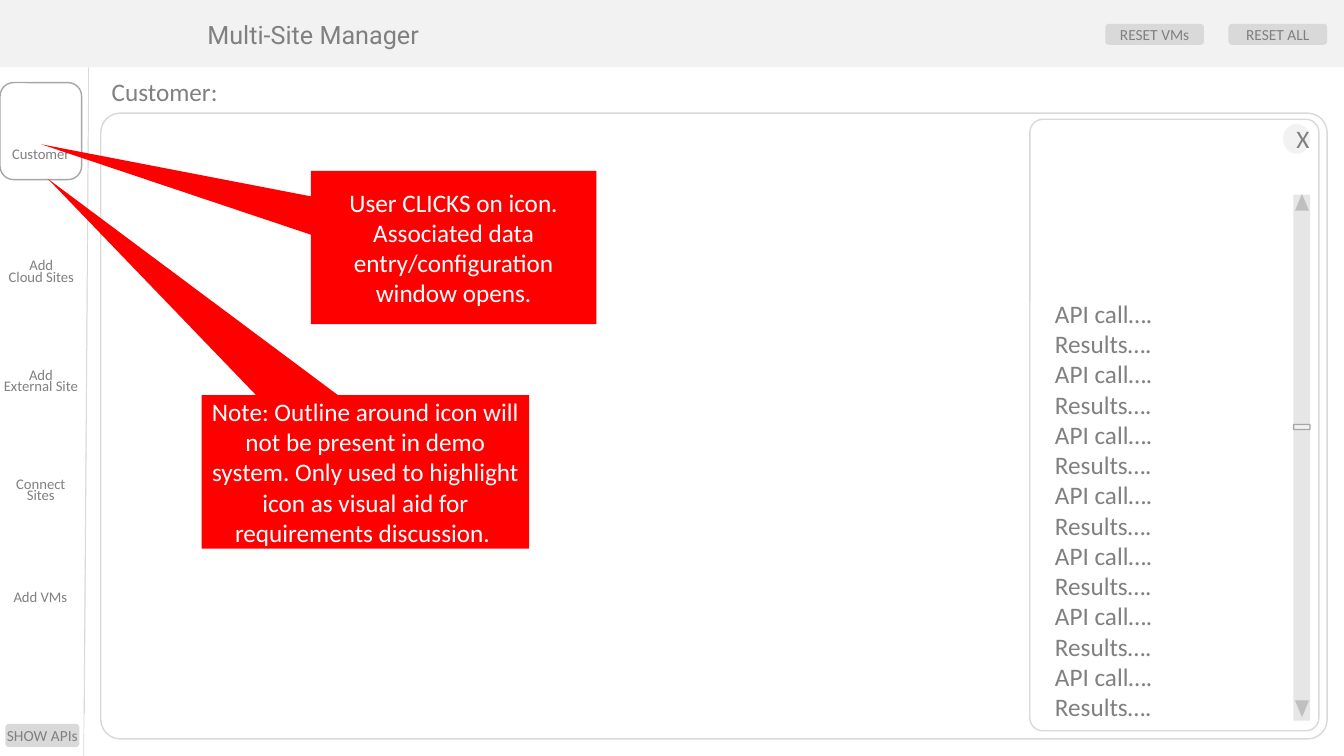
from lxml.etree import SubElement
from pptx import Presentation
from pptx.dml.color import RGBColor
from pptx.enum.shapes import MSO_CONNECTOR as CONNECTOR, MSO_SHAPE as SHAPE
from pptx.enum.text import MSO_ANCHOR as ANCHOR, MSO_AUTO_SIZE as AUTO_SIZE, PP_ALIGN as ALIGN
from pptx.oxml.ns import qn
from pptx.util import Pt

GRAY_TEXT = "808080"
BORDER = "D9D9D9"
PALE = "F2F2F2"
OUTLINE = "A6A6A6"
CENTERED = {"alignment": ALIGN.CENTER}
ICON_LABEL = {"alignment": ALIGN.CENTER, "line_spacing": Pt(8)}


def set_color(color_format, value):
    color_format.rgb = RGBColor.from_string(value)


def set_attributes(target, values):
    for name, value in values.items():
        setattr(target, name, value)


def write_text(shape, lines, size, color, font, paragraph_format, frame_format):
    frame = shape.text_frame
    set_attributes(frame, frame_format)
    for index, line in enumerate(lines):
        paragraph = frame.add_paragraph() if index else frame.paragraphs[0]
        set_attributes(paragraph, paragraph_format)
        run = paragraph.add_run()
        run.text = line
        set_attributes(run.font, {"name": font, "size": Pt(size)})
        set_color(run.font.color, color)


def add_box(slide, kind, bounds, fill=None, line=None, adjustments=()):
    shape = slide.shapes.add_shape(kind, *map(Pt, bounds))
    shape.shadow.inherit = False
    if fill:
        shape.fill.solid()
        set_color(shape.fill.fore_color, fill)
    else:
        shape.fill.background()
    if line:
        shape.line.width = Pt(1)
        set_color(shape.line.color, line)
    else:
        shape.line.fill.background()
    for index, value in enumerate(adjustments):
        shape.adjustments[index] = value
    return shape


def add_filled_text(slide, kind, bounds, fill, text, size=18, color=GRAY_TEXT,
                    adjustments=(), margins=None):
    shape = add_box(slide, kind, bounds, fill, adjustments=adjustments)
    frame_format = {"word_wrap": True, "vertical_anchor": ANCHOR.MIDDLE, **(margins or {})}
    write_text(shape, [text], size, color, "Calibri", CENTERED, frame_format)


def add_label(slide, bounds, lines, size=18, font="Calibri", paragraph_format=None, wrap=False):
    shape = slide.shapes.add_textbox(*map(Pt, bounds))
    frame_format = {"word_wrap": wrap, "auto_size": AUTO_SIZE.SHAPE_TO_FIT_TEXT}
    write_text(shape, lines, size, GRAY_TEXT, font, paragraph_format or {}, frame_format)


def add_divider(slide, start, end):
    connector = slide.shapes.add_connector(CONNECTOR.STRAIGHT, *map(Pt, start + end))
    connector.line.width = Pt(0.5)
    set_color(connector.line.color, BORDER)
    SubElement(connector.line._get_or_add_ln().getparent(), qn("a:effectLst"))


def add_header(slide):
    add_box(slide, SHAPE.RECTANGLE, (0, 0, 960, 48), PALE)
    for left, caption in ((789.5, "RESET VMs"), (877.5, "RESET ALL")):
        add_filled_text(slide, SHAPE.ROUNDED_RECTANGLE, (left, 17, 70.5, 15), BORDER, caption, 11)
    add_label(slide, (141, 10.3, 167, 29), ["Multi-Site Manager"], font="Roboto")


def add_panels(slide):
    add_box(slide, SHAPE.ROUNDED_RECTANGLE, (72, 80.8, 876, 447), "FFFFFF", BORDER, [0.031])
    add_box(slide, SHAPE.ROUNDED_RECTANGLE, (735.6, 85.2, 206.5, 436.8), "FFFFFF", BORDER, [0.045])
    add_filled_text(slide, SHAPE.OVAL, (916.5, 88.5, 19.5, 21.5), PALE, "X")
    add_label(slide, (746.5, 209.5, 155.5, 312.5), ["API call….", "Results…."] * 7, wrap=True)
    add_label(slide, (72.7, 51.3, 91, 29), ["Customer:"])


def add_sidebar(slide):
    no_side_margins = {"margin_left": 0, "margin_right": 0}
    add_filled_text(slide, SHAPE.ROUNDED_RECTANGLE, (3.8, 517, 53, 16.7), BORDER,
                    "SHOW APIs", 11, margins=no_side_margins)
    labels = (
        ((1.2, 104.4, 56, 16), ["Customer"], ICON_LABEL),
        ((-1.5, 184, 62, 24), ["Add", "Cloud Sites"], ICON_LABEL),
        ((-5, 262.3, 68.4, 24), ["Add", "External Site"], ICON_LABEL),
        ((4, 340.4, 50.4, 24), ["Connect", "Sites"], ICON_LABEL),
        ((2.6, 416.7, 53.3, 20), ["Add VMs"], {}),
    )
    for bounds, lines, paragraph_format in labels:
        add_label(slide, bounds, lines, 10.5, paragraph_format=paragraph_format)


def add_scrollbar(slide):
    add_box(slide, SHAPE.RECTANGLE, (923.8, 139, 12, 375.8), "E7E6E6")
    for top, rotation in ((138.5, 0), (500.3, 180)):
        arrow = add_box(slide, SHAPE.ISOSCELES_TRIANGLE, (925, top, 10, 12), "BFBFBF")
        arrow.rotation = rotation
    add_box(slide, SHAPE.ROUNDED_RECTANGLE, (924, 303.2, 11.7, 3.6), PALE, OUTLINE)


def add_callouts(slide):
    callouts = (
        ((222, 122, 204, 109.5), (-1.444, -0.673),
         "User CLICKS on icon. Associated data entry/configuration window opens."),
        ((144, 282.3, 234, 109.5), (-0.97, -1.913),
         "Note: Outline around icon will not be present in demo system. "
         "Only used to highlight icon as visual aid for requirements discussion. "),
    )
    for bounds, pointer, text in callouts:
        add_filled_text(slide, SHAPE.RECTANGULAR_CALLOUT, bounds, "FF0000", text,
                        color="FFFFFF", adjustments=pointer)


def main():
    presentation = Presentation()
    set_attributes(presentation, {"slide_width": Pt(960), "slide_height": Pt(540)})
    slide = presentation.slides.add_slide(presentation.slide_layouts[6])
    add_header(slide)
    add_divider(slide, (63.3, 48), (59.8, 540))
    add_panels(slide)
    add_sidebar(slide)
    add_scrollbar(slide)
    add_divider(slide, (63.3, 70), (60.3, 510))
    add_box(slide, SHAPE.ROUNDED_RECTANGLE, (0, 59, 58.3, 69.3), line=OUTLINE)
    add_callouts(slide)
    presentation.save("out.pptx")


main()
